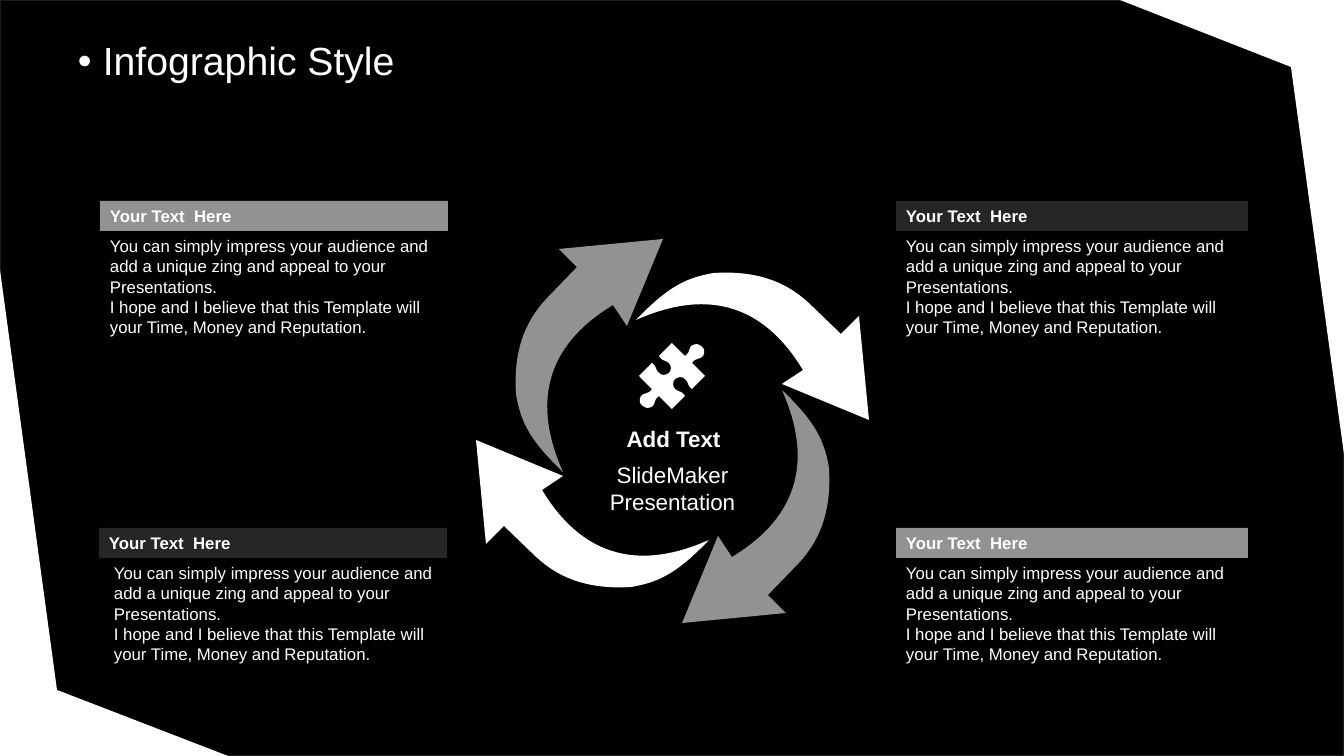
from dataclasses import dataclass

from lxml import etree
from pptx import Presentation
from pptx.dml.color import RGBColor
from pptx.enum.shapes import MSO_SHAPE
from pptx.enum.text import MSO_ANCHOR, PP_ALIGN
from pptx.oxml.ns import qn
from pptx.util import Pt

RECTANGLE = MSO_SHAPE.RECTANGLE
TOP, MIDDLE = MSO_ANCHOR.TOP, MSO_ANCHOR.MIDDLE
LEFT, CENTER = PP_ALIGN.LEFT, PP_ALIGN.CENTER


@dataclass(frozen=True)
class Theme:
    font: str = "Arial"
    black: str = "000000"
    edge: str = "1C1C1C"
    white: str = "FFFFFF"
    grey: str = "929292"
    dark: str = "262626"
    title_size: int = 28
    center_size: int = 16
    body_size: int = 12


theme = Theme()

# Content, lengths in px
PX = 9071  # EMU per px
SLIDE_W, SLIDE_H = 1344, 756
TITLE = "Infographic Style"
TITLE_INDENT = 25
CENTER_HEADING = "Add Text"
CENTER_CAPTION = "SlideMaker Presentation"
PANEL_HEADING = "Your Text  Here"
PANEL_BODY = [
    "You can simply impress your audience and add a unique zing and appeal to your Presentations.",
    "I hope and I believe that this Template will your Time, Money and Reputation.",
]
HEADING_H, BODY_H = 30, 112

# heading left, body left, top, width, heading colour
PANELS = [
    (896, 896, 201, 352, theme.dark),
    (896, 896, 528, 352, theme.grey),
    (100, 100, 201, 348, theme.grey),
    (99, 104, 528, 348, theme.dark),
]

# Outlines: one point is a line, three points are a curve
CORNERS = [
    [[(0, 756)], [(0, 270)], [(57, 690)], [(228, 756)]],
    [[(1344, 0)], [(1344, 454)], [(1291, 67)], [(1120, 0)]],
]
ARROW = [
    [(187, -114)], [(197, -10)], [(110, -46)], [(131, -60)],
    [(84, -138), (20, -135), (-36, -110)],
    [(-7, -140), (11, -152), (42, -157)],
    [(90, -160), (119, -145), (141, -123)],
    [(169, -96)],
]
# centre, quarter turns, colour
ARROWS = [
    ((672, 430), 0, theme.white),
    ((672, 426), 1, theme.grey),
    ((673, 430), 2, theme.white),
    ((673, 436), 3, theme.grey),
]
PUZZLE_CENTER = (672, 376)
PUZZLE_HALF = [
    [(0, -33)], [(13, -20)],
    [(18, -24), (16, -25), (19, -30)],
    [(23, -33), (27, -32), (29, -30)],
    [(33, -28), (33, -23), (31, -20)],
    [(28, -16), (24, -19), (20, -13)],
    [(33, 0)], [(20, 13)],
    [(15, 10), (17, 6), (13, 3)],
    [(10, 0), (6, 1), (3, 3)],
    [(1, 5), (0, 10), (3, 13)],
    [(8, 17), (9, 14), (13, 20)],
]


def turn(segments, quarters):
    for _ in range(quarters):
        segments = [[(-y, x) for x, y in segment] for segment in segments]
    return segments


def paint(shape, color):
    shape.shadow.inherit = False
    shape.fill.solid()
    shape.fill.fore_color.rgb = RGBColor.from_string(color)
    shape.line.fill.background()


def add_outline(segments, color, center=(0, 0)):
    placed = [[((center[0] + x) * PX, (center[1] + y) * PX) for x, y in segment]
              for segment in segments]
    ends = [segment[-1] for segment in placed]
    builder = slide.shapes.build_freeform(*ends[0], scale=1.0)
    builder.add_line_segments(ends[1:], close=True)
    shape = builder.convert_to_shape()
    # Bend the lines that have control points
    lines = list(shape._element.iter(qn("a:lnTo")))
    for line, segment in zip(lines, placed[1:]):
        if len(segment) == 3:
            line.tag = qn("a:cubicBezTo")
            for index, (x, y) in enumerate(segment[:2]):
                control = etree.Element(qn("a:pt"), x=str(x - shape.left), y=str(y - shape.top))
                line.insert(index, control)
    paint(shape, color)


def add_box(box, color):
    shape = slide.shapes.add_shape(RECTANGLE, *(v * PX for v in box))
    paint(shape, color)
    return shape


def add_label(box):
    return slide.shapes.add_textbox(*(v * PX for v in box))


def write(shape, lines, size, bold=False, align=LEFT, anchor=TOP):
    frame = shape.text_frame
    frame.word_wrap = True
    frame.vertical_anchor = anchor
    frame.text = "\n".join(lines)
    for paragraph in frame.paragraphs:
        paragraph.alignment = align
        for run in paragraph.runs:
            run.font.name = theme.font
            run.font.size = Pt(size)
            run.font.bold = bold
            run.font.color.rgb = RGBColor.from_string(theme.white)


prs = Presentation()
prs.slide_width, prs.slide_height = SLIDE_W * PX, SLIDE_H * PX
slide = prs.slides.add_slide(prs.slide_layouts[6])

# Backdrop with cut corners
backdrop = add_box((0, 0, SLIDE_W, SLIDE_H), theme.black)
backdrop.line.color.rgb = RGBColor.from_string(theme.edge)
backdrop.line.width = Pt(1)
for corner in CORNERS:
    add_outline(corner, theme.white)

# Bulleted title
title = add_label((68, 37, 1276, 80))
write(title, [TITLE], theme.title_size)
title_line = title.text_frame.paragraphs[0]
title_line.line_spacing = 0.9
title_props = title_line._p.get_or_add_pPr()
title_props.set("marL", str(TITLE_INDENT * PX))
title_props.set("indent", str(-TITLE_INDENT * PX))
etree.SubElement(title_props, qn("a:buFont")).set("typeface", theme.font)
etree.SubElement(title_props, qn("a:buChar")).set("char", "•")

# Ring of arrows
for center, quarters, color in ARROWS:
    add_outline(turn(ARROW, quarters), color, center)

# Ring centre: text and puzzle piece
write(add_label((592, 420, 163, 37)), [CENTER_HEADING], theme.center_size, True, CENTER)
write(add_label((591, 456, 163, 64)), [CENTER_CAPTION], theme.center_size, align=CENTER)
add_outline(PUZZLE_HALF + turn(PUZZLE_HALF, 2), theme.white, PUZZLE_CENTER)

# Text panels
for heading_x, body_x, top, width, color in PANELS:
    heading = add_box((heading_x, top, width, HEADING_H), color)
    write(heading, [PANEL_HEADING], theme.body_size, True, anchor=MIDDLE)
    body = add_label((body_x, top + HEADING_H, width, BODY_H))
    write(body, PANEL_BODY, theme.body_size)

prs.save("out.pptx")
